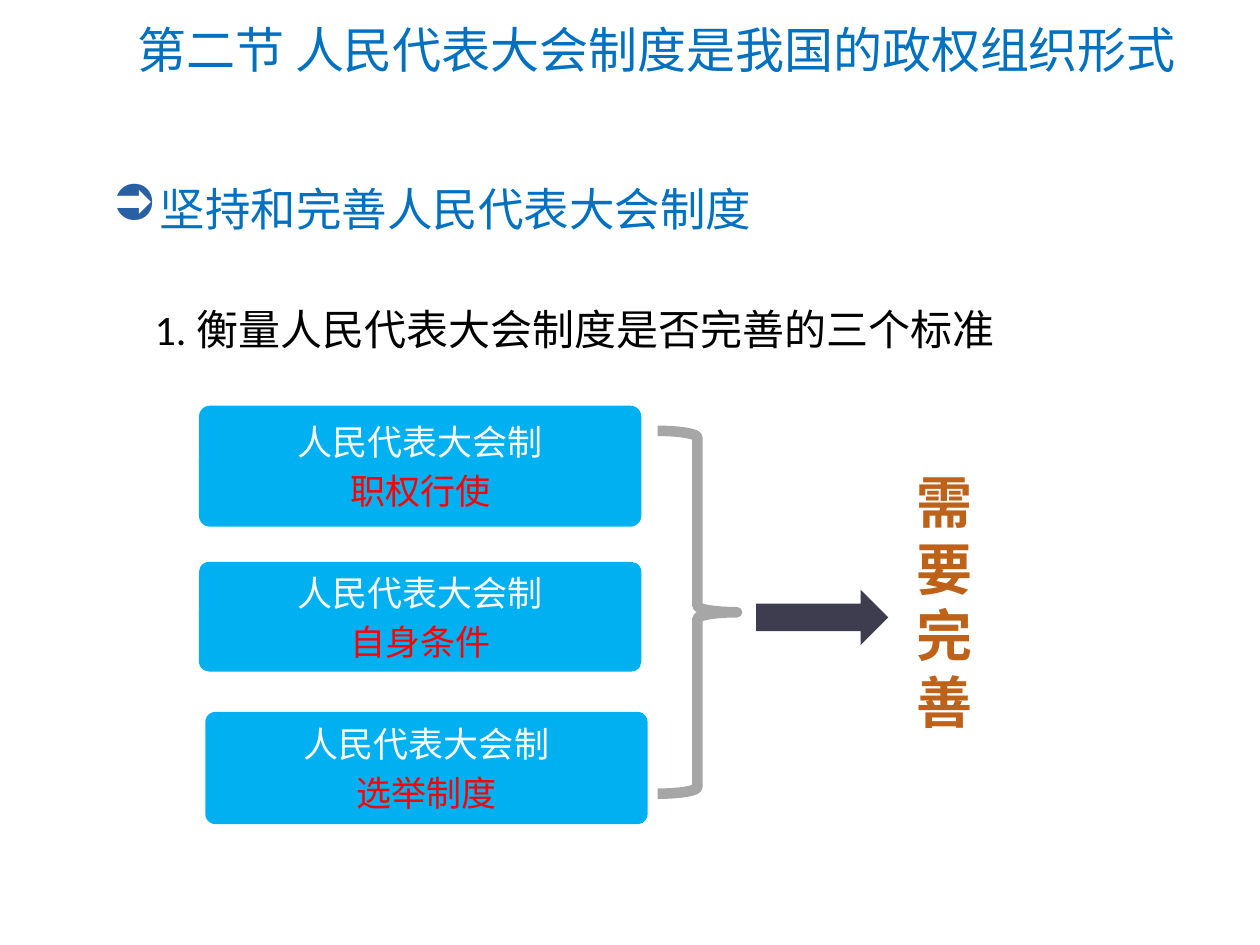
from collections import namedtuple

from lxml import etree
from pptx import Presentation, util as u
from pptx.dml.color import RGBColor
from pptx.enum import shapes, text
from pptx.oxml import ns

BLUE = RGBColor(0x00, 0x70, 0xC0)
BULLET_BLUE = RGBColor(0x28, 0x60, 0xA4)
CARD_BLUE = RGBColor(0x00, 0xB0, 0xF0)
RED = RGBColor(0xFF, 0x00, 0x00)
WHITE = RGBColor(0xFF, 0xFF, 0xFF)
BLACK = RGBColor(0x00, 0x00, 0x00)
GRAY = RGBColor(0xA6, 0xA6, 0xA6)
SLATE = RGBColor(0x3E, 0x3D, 0x4F)
ORANGE = RGBColor(0xBE, 0x61, 0x19)
LATIN, HAN = "Calibri", "Noto Sans CJK SC"
STANDARDS = ["职权行使", "自身条件", "选举制度"]

Box = namedtuple("Box", "left top width height")


def part(box, left, top, width, height):
    """Return the box lying at the given percentages of another box."""
    return Box(int(box.left + box.width * left / 100), int(box.top + box.height * top / 100),
               int(box.width * width / 100), int(box.height * height / 100))


def style(paragraph, font_name, size, color, bold=False):
    """Format every run of a paragraph, for Latin and Chinese characters alike."""
    for run in paragraph.runs:
        run.font.name, run.font.size, run.font.bold = font_name, u.Pt(size), bold
        run.font.color.rgb = color
        east_asian = etree.Element(ns.qn("a:ea"), typeface=font_name)
        run.font._element.find(ns.qn("a:latin")).addnext(east_asian)


def add_text(slide, box, content, font_name, size, color, bold=False):
    """Add a wrapped one-paragraph text box and return its paragraph."""
    frame = slide.shapes.add_textbox(*box).text_frame
    frame.word_wrap = True
    frame.text = content
    style(frame.paragraphs[0], font_name, size, color, bold)
    return frame.paragraphs[0]


def add_shape(slide, kind, box, fill=None):
    """Add a preset shape without shadow or outline."""
    shape = slide.shapes.add_shape(kind, *box)
    shape.shadow.inherit = False
    shape.line.fill.background()
    if fill is None:
        shape.fill.background()
    else:
        shape.fill.solid()
        shape.fill.fore_color.rgb = fill
    return shape


def add_bullet(paragraph, character, color, percent, indent):
    """Give a paragraph a hanging coloured bullet."""
    properties = paragraph._p.get_or_add_pPr()
    properties.set("marL", str(indent))
    properties.set("indent", str(-indent))
    bullet_color = etree.SubElement(properties, ns.qn("a:buClr"))
    etree.SubElement(bullet_color, ns.qn("a:srgbClr"), val=str(color))
    etree.SubElement(properties, ns.qn("a:buSzPct"), val=str(percent * 1000))
    etree.SubElement(properties, ns.qn("a:buChar"), char=character)


def add_headings(slide, box):
    """Place the title, the bulleted heading and the numbered point."""
    title = add_text(slide, part(box, 2.25, 0, 97.75, 21),
                     "第二节 人民代表大会制度是我国的政权组织形式", LATIN, 28, BLUE)
    title._p.getparent().find(ns.qn("a:bodyPr")).set("anchor", "ctr")
    heading = add_text(slide, part(box, 0, 46.74, 93.5, 19.57),
                       "坚持和完善人民代表大会制度", LATIN, 26, BLUE)
    add_bullet(heading, "➲", BULLET_BLUE, 110, u.Inches(0.38))
    add_text(slide, part(box, 3.81, 81.88, 93.5, 18.12),
             "1. 衡量人民代表大会制度是否完善的三个标准", LATIN, 24, BLACK)


def add_card(slide, box, standard):
    """Place one rounded card with its subject and its standard."""
    card = add_shape(slide, shapes.MSO_SHAPE.ROUNDED_RECTANGLE, box, CARD_BLUE)
    card.adjustments[0] = 0.09
    frame = card.text_frame
    frame.text = "人民代表大会制\n" + standard
    frame.vertical_anchor = text.MSO_ANCHOR.MIDDLE
    for paragraph, color in zip(frame.paragraphs, (WHITE, RED)):
        paragraph.alignment = text.PP_ALIGN.CENTER
        paragraph.line_spacing = u.Pt(24)
        style(paragraph, HAN, 20, color)
    frame.paragraphs[1].space_before = u.Pt(4)


def add_diagram(slide, box):
    """Place the three cards, the brace, the arrow and the conclusion."""
    rows = [(0, 0, 28.92), (0, 37.35, 26.2), (0.81, 73.19, 26.81)]
    for standard, (left, top, height) in zip(STANDARDS, rows):
        add_card(slide, part(box, left, top, 56.8, height), standard)
    brace = add_shape(slide, shapes.MSO_SHAPE.RIGHT_BRACE, part(box, 58.9, 6.02, 10.19, 86.75))
    brace.line.color.rgb = GRAY
    brace.line.width = u.Pt(6)
    add_shape(slide, shapes.MSO_SHAPE.RIGHT_ARROW, part(box, 71.52, 43.98, 16.99, 13.25), SLATE)
    conclusion = add_text(slide, part(box, 90.61, 13.55, 9.39, 68.07),
                          "需要完善", HAN, 32, ORANGE, True)
    conclusion.line_spacing = u.Pt(38)


def main():
    """Build and save the one-slide presentation."""
    presentation = Presentation()
    presentation.slide_width, presentation.slide_height = u.Inches(10), u.Inches(7.5)
    slide = presentation.slides.add_slide(presentation.slide_layouts[6])
    page = Box(0, 0, presentation.slide_width, presentation.slide_height)
    add_headings(slide, part(page, 7.9, 1.33, 89.2, 36.8))
    add_diagram(slide, part(page, 15.8, 42.93, 61.8, 44.27))
    presentation.save("out.pptx")


if __name__ == "__main__":
    main()
